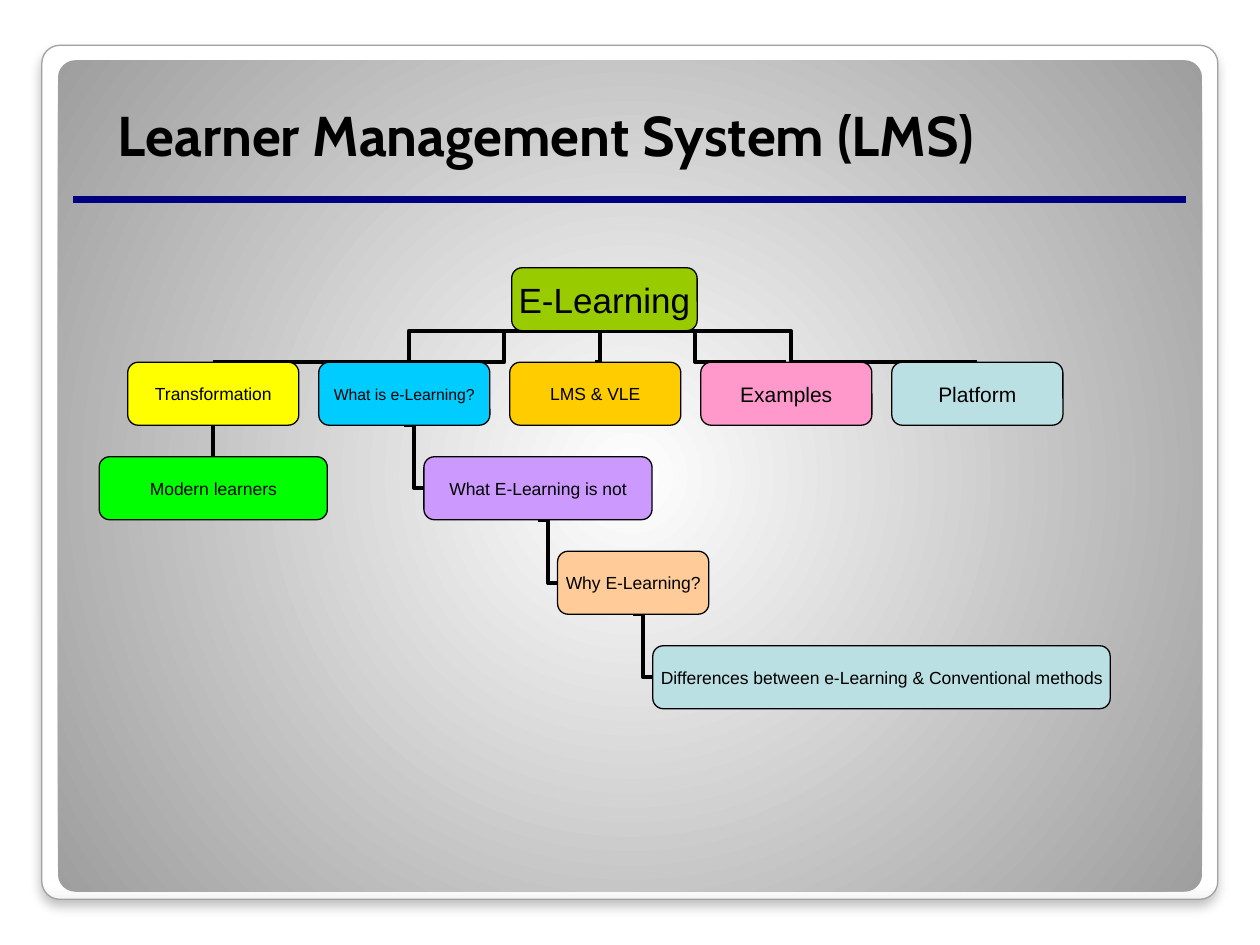
"""Build the Learner Management System overview slide with its topic tree."""
from lxml.etree import SubElement
from pptx import Presentation
from pptx.dml.color import RGBColor
from pptx.enum.shapes import MSO_CONNECTOR, MSO_SHAPE
from pptx.enum.text import MSO_ANCHOR, MSO_AUTO_SIZE, PP_ALIGN
from pptx.oxml import parse_xml
from pptx.oxml.ns import nsdecls, qn
from pptx.util import Pt

BLACK = RGBColor(0x00, 0x00, 0x00)
WHITE = RGBColor(0xFF, 0xFF, 0xFF)
OFF_WHITE = RGBColor(0xF6, 0xF6, 0xF6)
GREY = RGBColor(0x9E, 0x9E, 0x9E)
FRAME_GREY = RGBColor(0xA2, 0xA0, 0xA0)
NAVY = RGBColor(0x00, 0x00, 0x80)
OLIVE = RGBColor(0x99, 0xCC, 0x00)
YELLOW = RGBColor(0xFF, 0xFF, 0x00)
SKY = RGBColor(0x00, 0xCC, 0xFF)
AMBER = RGBColor(0xFF, 0xCC, 0x00)
PINK = RGBColor(0xFF, 0x99, 0xCC)
PALE_TEAL = RGBColor(0xBB, 0xE0, 0xE3)
GREEN = RGBColor(0x00, 0xFF, 0x00)
LILAC = RGBColor(0xCC, 0x99, 0xFF)
PEACH = RGBColor(0xFF, 0xCC, 0x99)

TREE_TOP, ROW_PITCH, BOX_HEIGHT = 153, 54, 36
FIRST_CENTRE, COLUMN_PITCH, COLUMN_WIDTH = 121.9, 109.15, 97.8
LEAF_WIDTH = 130.4


def add_rounded(left, top, width, height, radius):
    panel = slide.shapes.add_shape(
        MSO_SHAPE.ROUNDED_RECTANGLE, Pt(left), Pt(top), Pt(width), Pt(height))
    panel.adjustments[0] = radius
    panel.shadow.inherit = False
    return panel


def add_line(kind, start, end, color, width):
    line = slide.shapes.add_connector(kind, *(Pt(v) for v in start + end))
    line.line.color.rgb = color
    line.line.width = Pt(width)
    SubElement(line._element.spPr, qn("a:effectLst"))


presentation = Presentation()
presentation.slide_width, presentation.slide_height = Pt(720), Pt(540)
slide = presentation.slides.add_slide(presentation.slide_layouts[5])

frame = add_rounded(23.9, 25.9, 672, 488, 0.021)
backdrop = add_rounded(33.1, 34.4, 653.8, 475.2, 0.021)
for panel, stops in ((frame, ((0.98, WHITE), (1, OFF_WHITE))),
                     (backdrop, ((0, WHITE), (1, GREY)))):
    panel.fill.gradient()
    for stop, (position, color) in zip(panel.fill.gradient_stops, stops):
        stop.position = position
        stop.color.rgb = color
frame.fill.gradient_angle = 270
frame.line.color.rgb = FRAME_GREY
frame.line.width = Pt(0.74)
frame._element.spPr.find(qn("a:effectLst")).append(parse_xml(
    f'<a:outerShdw {nsdecls("a")} blurRad="{Pt(6)}" dist="{Pt(4)}" dir="5400000" '
    'algn="t" rotWithShape="0"><a:srgbClr val="000000"><a:alpha val="25000"/>'
    '</a:srgbClr></a:outerShdw>'))
backdrop.line.fill.background()
gradient = backdrop._element.spPr.find(qn("a:gradFill"))
gradient.replace(gradient.find(qn("a:lin")), parse_xml(
    f'<a:path {nsdecls("a")} path="circle">'
    '<a:fillToRect l="50000" t="50000" r="50000" b="50000"/></a:path>'))

add_line(MSO_CONNECTOR.STRAIGHT, (42, 114), (678, 114), NAVY, 4.5)

topics = {"E-Learning": (345.4, 0, 106, OLIVE, 20)}
parents = {}
branches = (("Transformation", YELLOW, 10), ("What is e-Learning?", SKY, 9),
            ("LMS & VLE", AMBER, 10), ("Examples", PINK, 12),
            ("Platform", PALE_TEAL, 12))
for column, (label, color, size) in enumerate(branches):
    topics[label] = (FIRST_CENTRE + column * COLUMN_PITCH, 1, COLUMN_WIDTH, color, size)
    parents[label] = "E-Learning"

topics["Modern learners"] = (FIRST_CENTRE, 2, LEAF_WIDTH, GREEN, 10)
parents["Modern learners"] = "Transformation"

parent = "What is e-Learning?"
chain = (("What E-Learning is not", LEAF_WIDTH, LILAC),
         ("Why E-Learning?", 86.4, PEACH),
         ("Differences between e-Learning & Conventional methods", 261.4, PALE_TEAL))
for row, (label, width, color) in enumerate(chain, start=2):
    topics[label] = (topics[parent][0] + 11.2 + width / 2, row, width, color, 10)
    parents[label] = parent
    parent = label

for child, parent in reversed(list(parents.items())):
    centre, row, width = topics[child][:3]
    parent_centre, parent_row = topics[parent][:2]
    top = TREE_TOP + row * ROW_PITCH
    is_chained = child in [label for label, *_ in chain]
    start = (centre - width / 2, top + BOX_HEIGHT / 2) if is_chained else (centre, top)
    end = (parent_centre, TREE_TOP + parent_row * ROW_PITCH + BOX_HEIGHT)
    add_line(MSO_CONNECTOR.ELBOW, start, end, BLACK, 2.25)

for label, (centre, row, width, color, size) in topics.items():
    box = add_rounded(centre - width / 2, TREE_TOP + row * ROW_PITCH,
                      width, BOX_HEIGHT, 0.167)
    box.fill.solid()
    box.fill.fore_color.rgb = color
    box.line.color.rgb = BLACK
    box.line.width = Pt(0.74)
    text = box.text_frame
    text.word_wrap = False
    text.vertical_anchor = MSO_ANCHOR.MIDDLE
    text.margin_left = text.margin_right = Pt(2)
    text.margin_top = text.margin_bottom = Pt(1)
    caption = text.paragraphs[0]
    caption.text = label
    caption.alignment = PP_ALIGN.CENTER
    caption.font.name = "Arial"
    caption.font.size = Pt(size)
    caption.font.color.rgb = BLACK

title = slide.shapes.title
title.left, title.top, title.width, title.height = Pt(60), Pt(51), Pt(615), Pt(51)
title.text_frame.auto_size = MSO_AUTO_SIZE.NONE
title.text_frame.vertical_anchor = MSO_ANCHOR.MIDDLE
heading = title.text_frame.paragraphs[0]
heading.text = "Learner Management System (LMS)"
heading.alignment = PP_ALIGN.LEFT
heading.font.name = "Cabin"
heading.font.size = Pt(32)
heading.font.bold = True
heading.font.color.rgb = BLACK
slide.shapes._spTree.append(title._element)

presentation.save("out.pptx")
